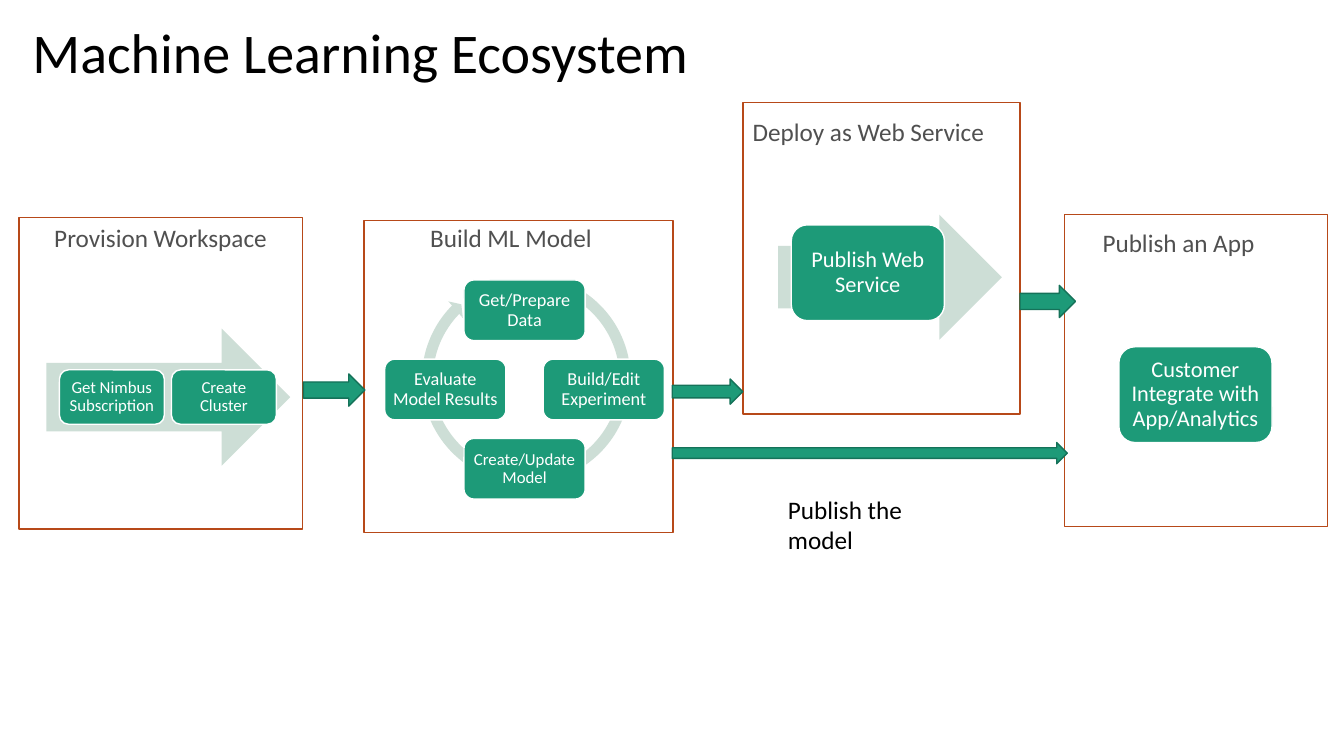
import pptx
import pptx.util
import pptx.dml.color
import pptx.enum.shapes
import pptx.enum.text

Pt = pptx.util.Pt
SHAPE = pptx.enum.shapes.MSO_SHAPE
ALIGN = pptx.enum.text.PP_ALIGN
ANCHOR = pptx.enum.text.MSO_ANCHOR
FIT = pptx.enum.text.MSO_AUTO_SIZE

GREEN, DARK, PALE = "1D9A78", "157259", "CDDED6"
RUST, GREY, WHITE, BLACK = "B74919", "505050", "FFFFFF", "000000"


def color(code):
    return pptx.dml.color.RGBColor.from_string(code)


class Deck:
    """Draws the elements of the current slide in one shared style."""

    font = "Calibri"

    def __init__(self, deck):
        self.slide = deck.slides.add_slide(deck.slide_layouts[5])

    def fill_text(self, frame, text, size, code, align=ALIGN.LEFT, space=1.0):
        frame.text = text
        para = frame.paragraphs[0]
        para.alignment = align
        para.line_spacing = space
        for run in para.runs:
            run.font.name = self.font
            run.font.size = Pt(size)
            run.font.color.rgb = color(code)

    def title(self, text, box):
        shape = self.slide.shapes.title
        shape.left, shape.top, shape.width, shape.height = map(Pt, box)
        frame = shape.text_frame
        frame.vertical_anchor = ANCHOR.MIDDLE
        frame.word_wrap = True
        self.fill_text(frame, text, 40, BLACK, space=0.9)

    def shape(self, kind, box, fill=None, line=None):
        shape = self.slide.shapes.add_shape(kind, *map(Pt, box))
        shape.shadow.inherit = False
        if fill:
            shape.fill.solid()
            shape.fill.fore_color.rgb = color(fill)
        else:
            shape.fill.background()
        if line:
            shape.line.color.rgb = color(line)
            shape.line.width = Pt(1)
        else:
            shape.line.fill.background()
        return shape

    def stage(self, box):
        self.shape(SHAPE.RECTANGLE, box, line=RUST)

    def flow(self, box):
        self.shape(SHAPE.RIGHT_ARROW, box, PALE)

    def link(self, box):
        self.shape(SHAPE.RIGHT_ARROW, box, GREEN, DARK)

    def ring(self, box):
        shape = self.shape(SHAPE.CIRCULAR_ARROW, box, PALE)
        for i, value in enumerate((0.05, 2.73, 134.66, 176.14, 0.05)):
            shape.adjustments[i] = value

    def card(self, text, box, size, pad):
        frame = self.shape(SHAPE.ROUNDED_RECTANGLE, box, GREEN, WHITE).text_frame
        frame.margin_left = frame.margin_right = Pt(pad)
        frame.margin_top = frame.margin_bottom = Pt(pad)
        frame.vertical_anchor = ANCHOR.MIDDLE
        frame.word_wrap = True
        self.fill_text(frame, text, size, WHITE, ALIGN.CENTER, 0.9)

    def label(self, text, box, code=GREY, wrap=False):
        frame = self.slide.shapes.add_textbox(*map(Pt, box)).text_frame
        frame.word_wrap = wrap
        frame.auto_size = FIT.SHAPE_TO_FIT_TEXT
        self.fill_text(frame, text, 18, code)


def main():
    show = pptx.Presentation()
    show.slide_width, show.slide_height = Pt(960), Pt(540)
    deck = Deck(show)
    deck.title("Machine Learning Ecosystem", (16, 14.4, 918, 51))

    deck.ring((297.4, 192.2, 157, 157))
    steps = (
        ("Get/Prepare Data", 0, -1, 13),
        ("Build/Edit Experiment", 1, 0, 13),
        ("Create/Update Model", 0, 1, 12),
        ("Evaluate Model Results", -1, 0, 13),
    )
    reach = 56.6
    for text, x, y, size in steps:
        deck.card(text, (331.4 + x * reach, 256.6 + y * reach, 86.6, 43.3), size, 3.6)

    deck.flow((555.8, 153.4, 159.8, 89.3))
    deck.card("Publish Web Service", (565.2, 160.6, 109.4, 68.4), 16, 5)

    stages = (
        ("Build ML Model", (259.9, 157.7, 221), (300.2, 155.5, 131.8)),
        ("Deploy as Web Service", (530.6, 73.4, 198), (530.6, 79.2, 182.2)),
        ("Provision Workspace", (13.7, 155.5, 202.3), (31.7, 155.5, 167.8)),
        ("Publish an App", (760.3, 153.4, 188), (780.5, 159.1, 124.6)),
    )
    for text, frame, head in stages:
        deck.stage((*frame, 222.5))
        deck.label(text, (*head, 28.8))

    deck.flow((33.1, 234.7, 174.2, 97.9))
    for i, text in enumerate(("Get Nimbus Subscription", "Create Cluster")):
        deck.card(text, (42.5 + i * 80, 264.2, 74.9, 38.9), 12, 3.6)
    deck.card("Customer Integrate with App/Analytics", (799.2, 247.7, 109.4, 68.4), 16, 5)

    links = (
        (216.7, 267.1, 43.9, 23),
        (480.2, 270.7, 50.4, 18),
        (728.6, 203.8, 39.6, 23),
        (480.2, 316.1, 282.2, 15.1),
    )
    for box in links:
        deck.link(box)
    deck.label("Publish the model", (555.8, 349.2, 113, 51), BLACK, True)

    show.save("out.pptx")


if __name__ == "__main__":
    main()
